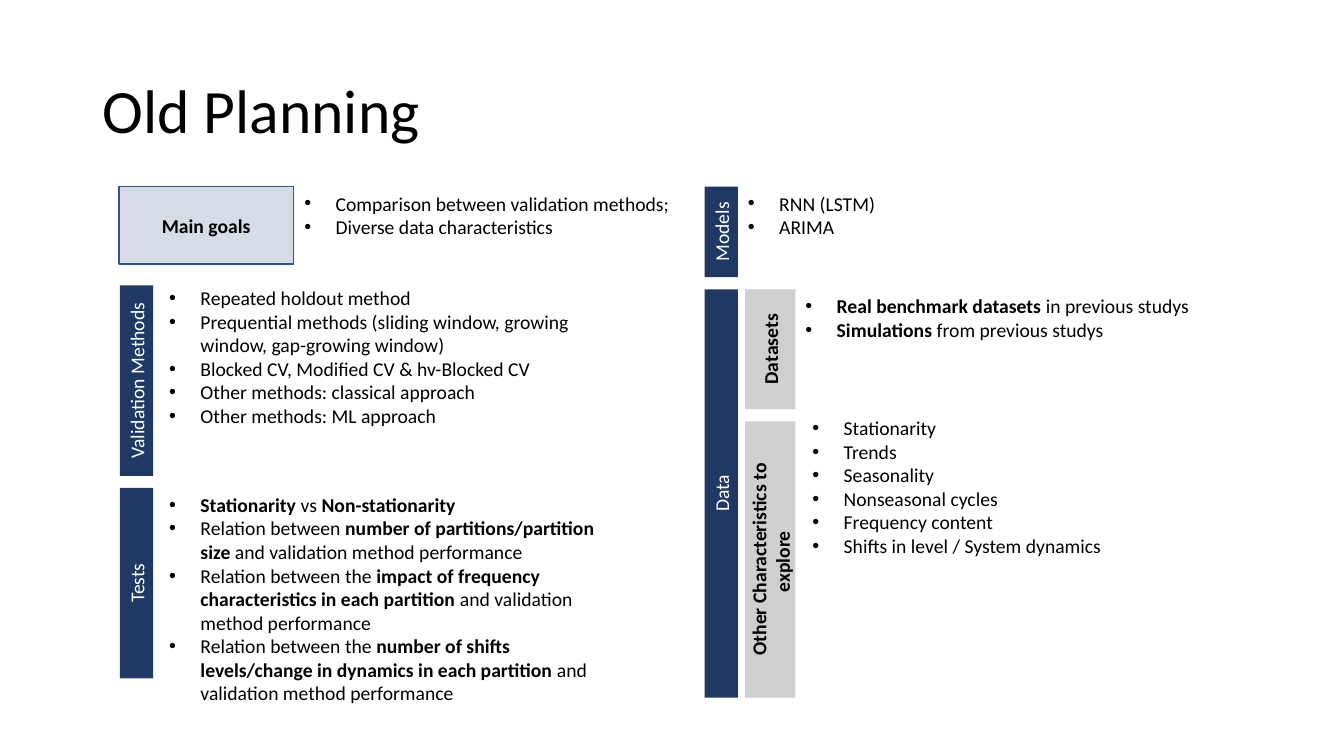
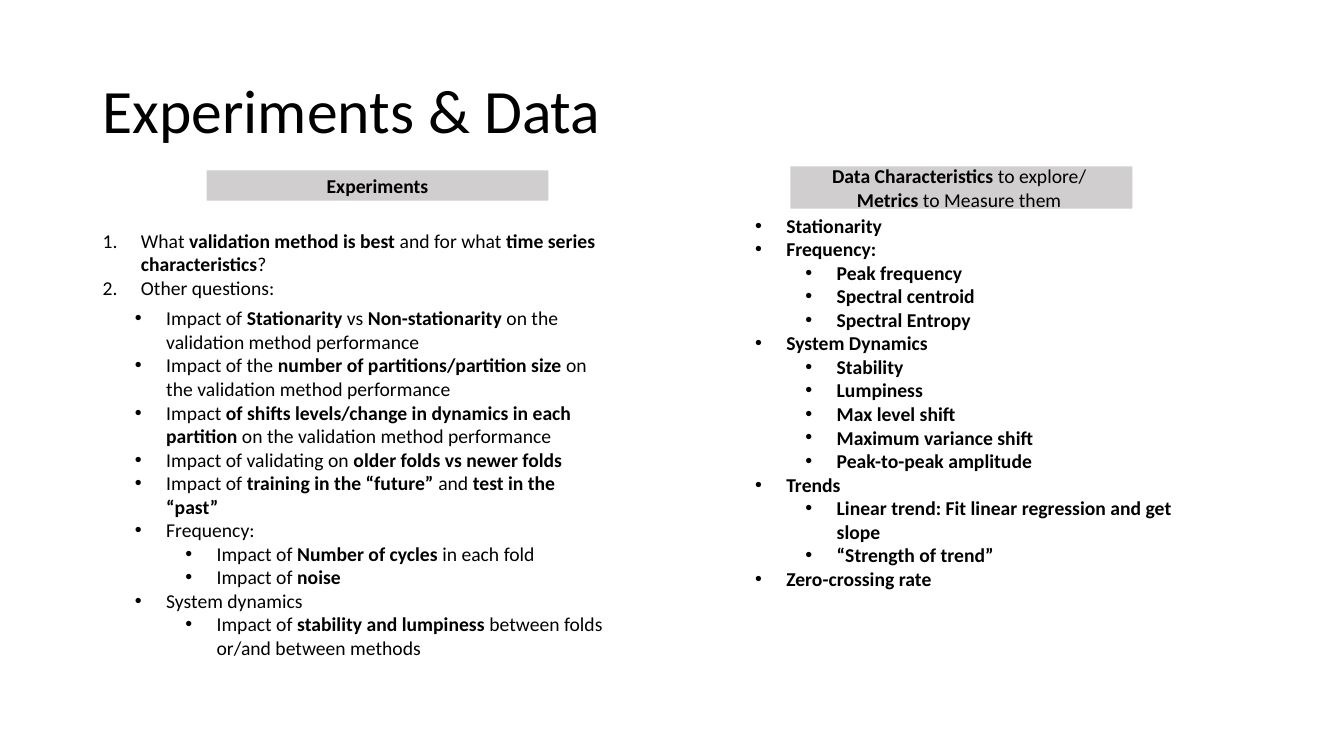
import pptx
import pptx.util
import pptx.dml.color
import pptx.enum.shapes
import pptx.enum.text
import pptx.oxml.ns
import lxml.etree

Inches, Pt = pptx.util.Inches, pptx.util.Pt
ALIGN = pptx.enum.text.PP_ALIGN
ANCHOR = pptx.enum.text.MSO_ANCHOR

FONT = "Calibri"
BLACK, WHITE = "000000", "FFFFFF"
NAVY, GREY, PALE, BLUE = "203864", "D0CECE", "D6DCE5", "2F5597"
TITLE_BOX = (0.92, 0.4, 11.5, 1.45)
BAR_W, SUBBAR_W = 0.33, 0.5
LEFT_X, RIGHT_X, SUB_X = 1.19, 6.99, 7.39
LIST_W, BULLET_INDENT, NUMBER_INDENT, LEVEL_STEP = 4.71, 0.31, 0.38, 0.5

SLIDES = [
    {
        "title": "Old Planning",
        "labels": [
            {"box": (1.18, 1.85, 1.73, 0.77), "lines": ["**Main goals**"], "fill": PALE, "line": BLUE},
        ],
        "bars": [
            {"box": (LEFT_X, 2.83, BAR_W, 1.89), "lines": ["Validation Methods"], "fill": NAVY, "color": WHITE},
            {"box": (LEFT_X, 4.84, BAR_W, 1.89), "lines": ["Tests"], "fill": NAVY, "color": WHITE},
            {"box": (RIGHT_X, 1.85, BAR_W, 0.9), "lines": ["Models"], "fill": NAVY, "color": WHITE},
            {"box": (RIGHT_X, 2.87, BAR_W, 4.05), "lines": ["Data"], "fill": NAVY, "color": WHITE},
            {"box": (SUB_X, 2.87, SUBBAR_W, 1.19), "lines": ["**Datasets**"], "fill": GREY},
            {"box": (SUB_X, 4.18, SUBBAR_W, 2.74), "lines": ["**Other Characteristics to explore **"], "fill": GREY},
        ],
        "lists": [
            {"box": (2.92, 1.85, 4, 0.57), "items": [
                "Comparison between validation methods;",
                "Diverse data characteristics",
            ]},
            {"box": (1.58, 2.79, LIST_W, 1.51), "items": [
                "Repeated holdout method",
                "Prequential methods (sliding window, growing window, gap-growing window)",
                "Blocked CV, Modified CV & hv-Blocked CV",
                "Other methods: classical approach",
                "Other methods: ML approach",
            ]},
            {"box": (1.58, 4.84, LIST_W, 2.22), "items": [
                "**Stationarity** vs **Non-stationarity**",
                "Relation between **number of partitions/partition size **and validation method performance",
                "Relation between the **impact of frequency characteristics in each partition **"
                "and validation method performance",
                "Relation between the **number of shifts levels/change in dynamics in each partition**"
                " and validation method performance",
            ]},
            {"box": (7.32, 1.85, LIST_W, 0.57), "items": ["RNN (LSTM)", "ARIMA"]},
            {"box": (7.89, 2.87, LIST_W, 0.57), "items": [
                "**Real benchmark datasets **in previous studys",
                "**Simulations** from previous studys",
            ]},
            {"box": (7.96, 4.08, LIST_W, 1.51), "items": [
                "Stationarity",
                "Trends",
                "Seasonality",
                "Nonseasonal cycles",
                "Frequency content",
                "Shifts in level / System dynamics",
            ]},
        ],
    },
    {
        "title": "Experiments & Data",
        "labels": [
            {"box": (2.05, 1.69, 3.39, 0.3), "lines": ["**Experiments**"], "fill": GREY},
            {"box": (7.84, 1.65, 3.39, 0.42), "fill": GREY,
             "lines": ["**Data Characteristics **to explore/ ", "**Metrics** to Measure them "]},
        ],
        "bars": [],
        "lists": [
            {"box": (0.92, 2.22, 5.18, 0.81), "numbered": True, "items": [
                "What **validation method is best **and for what **time series characteristics**?",
                "Other questions:",
            ]},
            {"box": (1.24, 2.99, 4.85, 3.64), "items": [
                "Impact of **Stationarity** vs **Non-stationarity **on the validation method performance",
                "Impact of the **number of partitions/partition size **on the validation method performance",
                "Impact **of shifts levels/change in dynamics in each partition**"
                " on the validation method performance",
                "Impact of validating on **older folds vs newer folds**",
                "Impact of **training in the “future” **and **test in the “past”**",
                "Frequency:",
                ["Impact of **Number of cycles **in each fold", "Impact of **noise**"],
                "System dynamics",
                ["Impact of **stability and lumpiness **between folds or/and between methods"],
            ]},
            {"box": (7.39, 2.07, LIST_W, 4.58), "bold": True, "items": [
                "Stationarity",
                "Frequency:",
                ["Peak frequency", "Spectral centroid", "Spectral Entropy"],
                "System Dynamics",
                ["Stability", "Lumpiness", "Max level shift", "Maximum variance shift",
                 "Peak-to-peak amplitude"],
                "Trends",
                ["Linear trend: Fit linear regression and get slope", "“Strength of trend”"],
                "Zero-crossing rate",
            ]},
        ],
    },
]


def rgb(value):
    return pptx.dml.color.RGBColor.from_string(value)


def apply(target, values):
    for name, value in values.items():
        setattr(target, name, value)


def write(p, text, size=14, color=BLACK, bold=False):
    for i, part in enumerate(text.split("**")):
        if part:
            r = p.add_run()
            r.text = part
            apply(r.font, {"name": FONT, "size": Pt(size), "bold": bold or i % 2 == 1})
            r.font.color.rgb = rgb(color)


def paragraphs(tf, count):
    return [tf.paragraphs[0]] + [tf.add_paragraph() for _ in range(count - 1)]


def add_text_frame(s, box):
    tf = s.shapes.add_textbox(*map(Inches, box)).text_frame
    tf.word_wrap = True
    return tf


def add_title(s, text):
    tf = add_text_frame(s, TITLE_BOX)
    tf.vertical_anchor = ANCHOR.MIDDLE
    p = tf.paragraphs[0]
    p.line_spacing = 0.9
    write(p, text, size=44)


def add_label(s, box, lines, fill, color=BLACK, line=None):
    sp = s.shapes.add_shape(pptx.enum.shapes.MSO_SHAPE.RECTANGLE, *map(Inches, box))
    sp.shadow.inherit = False
    sp.fill.solid()
    sp.fill.fore_color.rgb = rgb(fill)
    if line:
        sp.line.color.rgb = rgb(line)
        sp.line.width = Pt(1)
    else:
        sp.line.fill.background()
    tf = sp.text_frame
    apply(tf, {"word_wrap": True, "vertical_anchor": ANCHOR.MIDDLE})
    for p, text in zip(paragraphs(tf, len(lines)), lines):
        p.alignment = ALIGN.CENTER
        write(p, text, color=color)
    return sp


def add_bar(s, box, **label):
    x, y, w, h = box
    sp = add_label(s, (x + (w - h) / 2, y + (h - w) / 2, h, w), **label)
    sp.rotation = 270


def set_bullet(p, level, numbered):
    indent = NUMBER_INDENT if numbered else BULLET_INDENT
    p.level = level
    pPr = p._p.get_or_add_pPr()
    pPr.set("marL", str(Inches(indent + level * LEVEL_STEP)))
    pPr.set("indent", str(-Inches(indent)))
    marks = [("a:buAutoNum", "type", "arabicPeriod")] if numbered else [
        ("a:buFont", "typeface", "Arial"), ("a:buChar", "char", "•")]
    for tag, name, value in marks:
        lxml.etree.SubElement(pPr, pptx.oxml.ns.qn(tag)).set(name, value)


def add_list(s, box, items, numbered=False, bold=False):
    rows = []
    for item in items:
        rows += [(1, text) for text in item] if isinstance(item, list) else [(0, item)]
    tf = add_text_frame(s, box)
    for p, (level, text) in zip(paragraphs(tf, len(rows)), rows):
        set_bullet(p, level, numbered)
        write(p, text, bold=bold)


def main():
    prs = pptx.Presentation()
    apply(prs, {"slide_width": Inches(13.33), "slide_height": Inches(7.5)})
    for content in SLIDES:
        s = prs.slides.add_slide(prs.slide_layouts[6])
        add_title(s, content["title"])
        for add, key in ((add_label, "labels"), (add_bar, "bars"), (add_list, "lists")):
            for part in content[key]:
                add(s, **part)
    prs.save("out.pptx")


if __name__ == "__main__":
    main()
